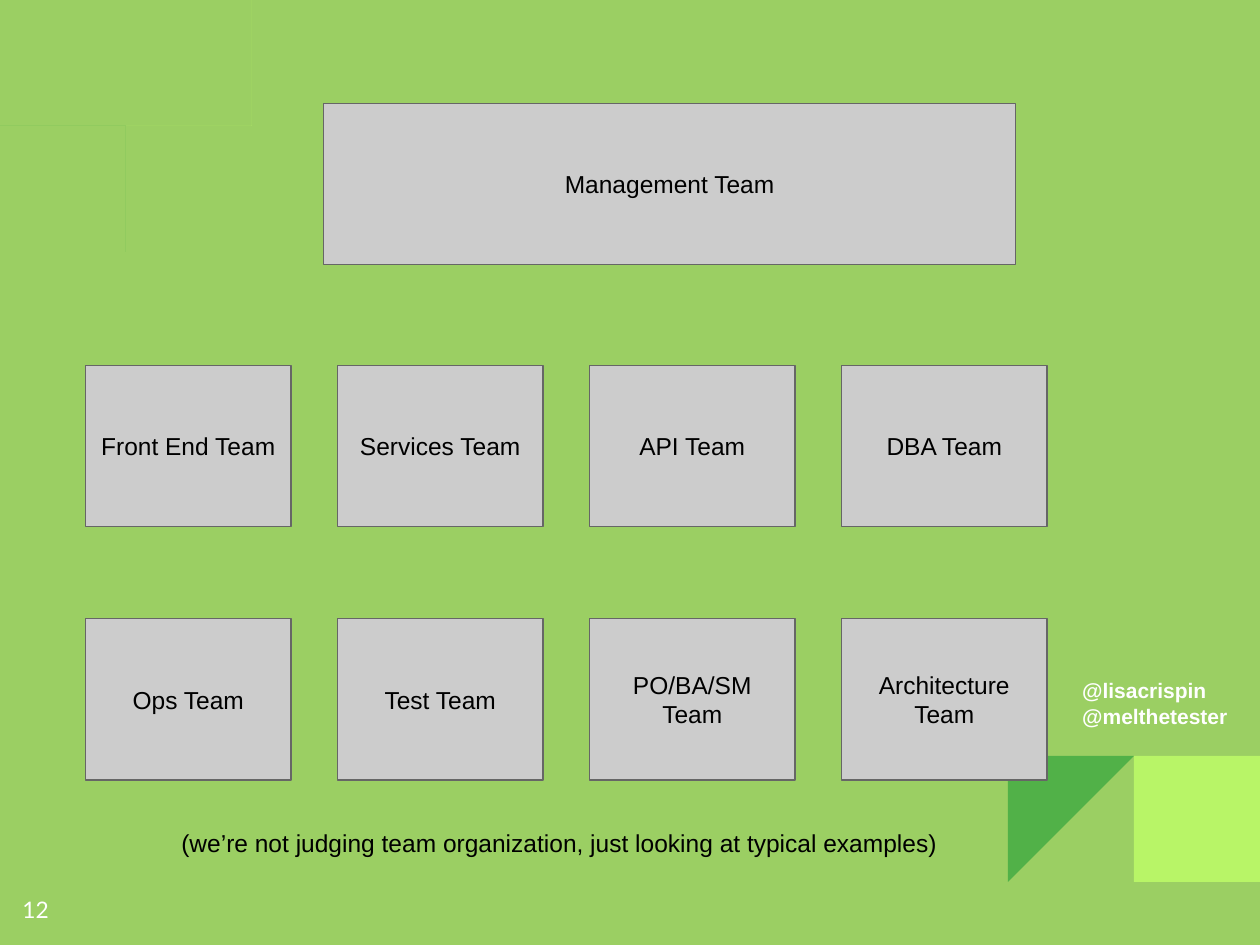
from dataclasses import dataclass
from pptx import Presentation
from pptx.dml.color import RGBColor
from pptx.enum.shapes import MSO_SHAPE
from pptx.enum.text import MSO_ANCHOR, PP_ALIGN
from pptx.util import Inches, Pt


@dataclass(frozen=True)
class Theme:
    background: str = "9BCF63"
    light_leaf: str = "B8F567"
    dark_leaf: str = "51B148"
    team_fill: str = "CCCCCC"
    team_line: str = "666666"
    dark_text: str = "000000"
    light_text: str = "FFFFFF"
    font: str = "Arial"
    number_font: str = "Lato"
    body_size: int = 14
    handle_size: int = 12
    number_size: int = 13


THEME = Theme()
MANAGEMENT = "Management Team"
TEAM_ROWS = [
    ["Front End Team", "Services Team", "API Team", "DBA Team"],
    ["Ops Team", "Test Team", "PO/BA/SM Team", "Architecture Team"],
]
HANDLES = "@lisacrispin @melthetester"
NOTE = "(we’re not judging team organization, just looking at typical examples)"
PAGE_NUMBER = "12"
LEAVES = [
    {"color": THEME.light_leaf, "vein": [(9.41, 6.55)],
     "out": [(9.64, 6.86), (9.68, 6.2), (9.45, 5.72), (8.92, 5.84)],
     "back": [(8.87, 5.88), (8.65, 6.3), (8.83, 6.68), (9.64, 6.86)]},
    {"color": THEME.dark_leaf, "vein": [],
     "out": [(8.05, 6.53), (8.2, 6.08), (8.48, 5.72), (8.82, 5.95)],
     "back": [(8.82, 5.95), (8.88, 6.35), (8.6, 6.57), (8.05, 6.53)]},
    {"color": THEME.light_leaf, "vein": [(1.83, 0.54)],
     "out": [(2, 0.2), (1.4, 0.45), (1.22, 0.87), (1.43, 1.31)],
     "back": [(1.47, 1.35), (1.92, 1.42), (2.08, 0.87), (2, 0.2)]},
    {"color": THEME.dark_leaf, "vein": [],
     "out": [(0.19, 1.1), (0.7, 0.85), (1.3, 0.67), (1.47, 1.27)],
     "back": [(1.47, 1.27), (1.19, 1.67), (0.75, 1.63), (0.19, 1.1)]},
]

GRID_LEFT, GRID_TOP = 0.68, 2.9
COLUMN_STEP, ROW_STEP = 2, 2.01
TEAM_WIDTH, TEAM_HEIGHT = 1.63, 1.28
CURVE_STEPS = 24


def curve(controls):
    points = []
    for step in range(CURVE_STEPS + 1):
        t = step / CURVE_STEPS
        weights = ((1 - t) ** 3, 3 * t * (1 - t) ** 2, 3 * t ** 2 * (1 - t), t ** 3)
        points.append(tuple(sum(weight * value for weight, value in zip(weights, axis))
                            for axis in zip(*controls)))
    return points


def paint(shape, color):
    shape.shadow.inherit = False
    shape.fill.solid()
    shape.fill.fore_color.rgb = RGBColor.from_string(color)


def write(box, text, color=THEME.dark_text, size=THEME.body_size, font=THEME.font,
          bold=False, align=PP_ALIGN.LEFT, anchor=MSO_ANCHOR.TOP, top_inset=0.1):
    frame = box.text_frame
    frame.text = text
    frame.word_wrap = True
    frame.vertical_anchor = anchor
    frame.margin_left = frame.margin_right = frame.margin_bottom = Inches(0.1)
    frame.margin_top = Inches(top_inset)
    para = frame.paragraphs[0]
    para.alignment = align
    style = para.runs[0].font
    style.name, style.size, style.bold = font, Pt(size), bold
    style.color.rgb = RGBColor.from_string(color)


def add_leaf(page, leaf):
    points = curve(leaf["out"]) + leaf["vein"] + curve(leaf["back"])
    builder = page.shapes.build_freeform(*points[0], scale=Inches(1))
    builder.add_line_segments(points[1:], close=True)
    shape = builder.convert_to_shape()
    paint(shape, leaf["color"])
    shape.line.fill.background()


def add_team(page, name, left, top, width=TEAM_WIDTH):
    box = page.shapes.add_shape(MSO_SHAPE.RECTANGLE, Inches(left), Inches(top),
                                Inches(width), Inches(TEAM_HEIGHT))
    paint(box, THEME.team_fill)
    box.line.color.rgb = RGBColor.from_string(THEME.team_line)
    box.line.width = Pt(0.75)
    write(box, name, align=PP_ALIGN.CENTER, anchor=MSO_ANCHOR.MIDDLE)


def add_text(page, text, left, top, width, height, **style):
    box = page.shapes.add_textbox(Inches(left), Inches(top), Inches(width), Inches(height))
    write(box, text, **style)


def main():
    """Build the team organization slide."""
    deck = Presentation()
    deck.slide_width, deck.slide_height = Inches(10), Inches(7.5)
    page = deck.slides.add_slide(deck.slide_layouts[6])
    page.background.fill.solid()
    page.background.fill.fore_color.rgb = RGBColor.from_string(THEME.background)

    for leaf in LEAVES:
        add_leaf(page, leaf)
    add_text(page, HANDLES, 8.49, 5.38, 1.42, 0.8, color=THEME.light_text,
             size=THEME.handle_size, bold=True, top_inset=0)
    add_text(page, PAGE_NUMBER, 0.08, 6.93, 0.6, 0.57, color=THEME.light_text,
             size=THEME.number_size, font=THEME.number_font, anchor=MSO_ANCHOR.MIDDLE)

    add_team(page, MANAGEMENT, 2.57, 0.82, 5.49)
    for row, names in enumerate(TEAM_ROWS):
        for column, name in enumerate(names):
            add_team(page, name, GRID_LEFT + column * COLUMN_STEP, GRID_TOP + row * ROW_STEP)
    add_text(page, NOTE, 1.34, 6.47, 6.25, 0.73)

    deck.save("out.pptx")


if __name__ == "__main__":
    main()
